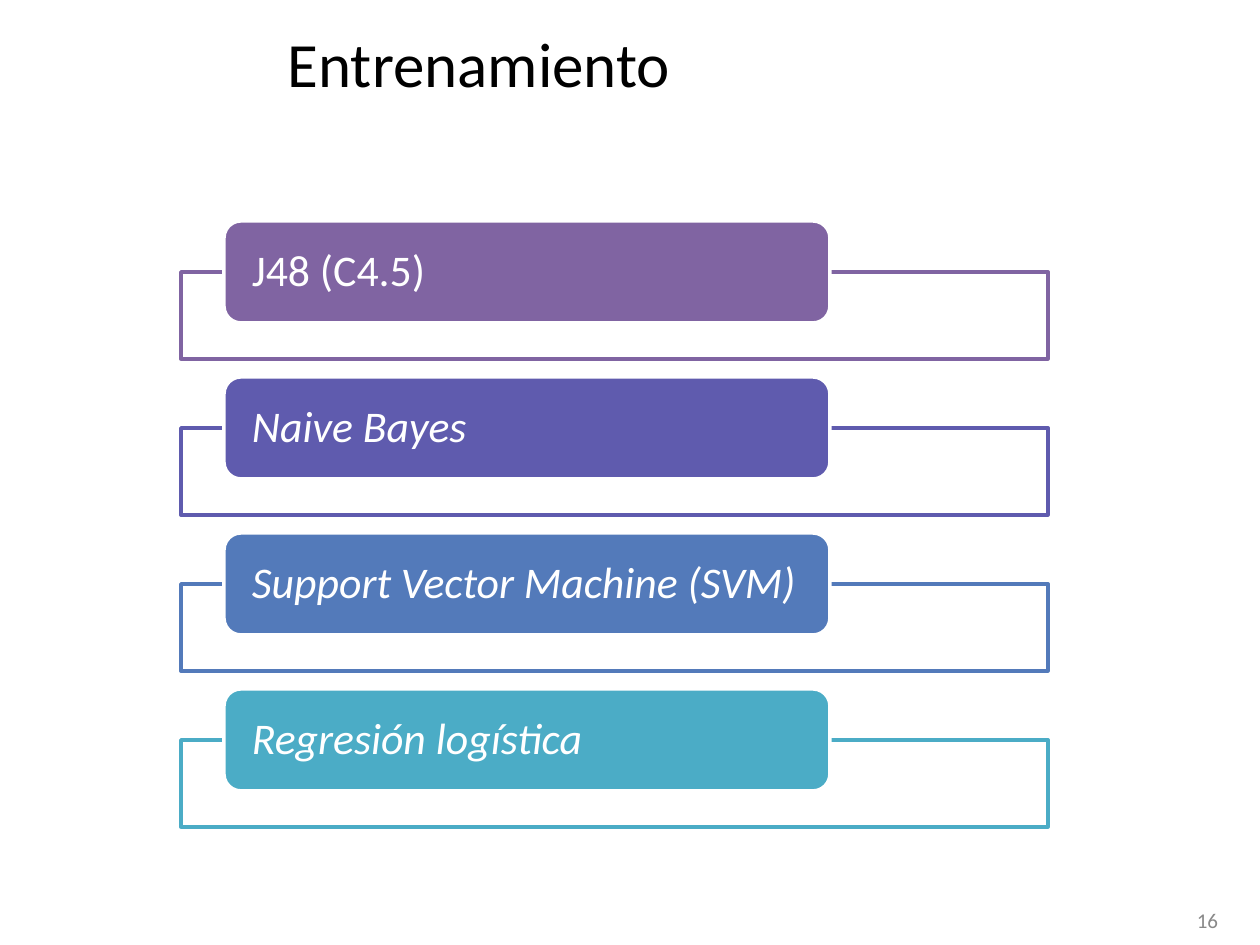
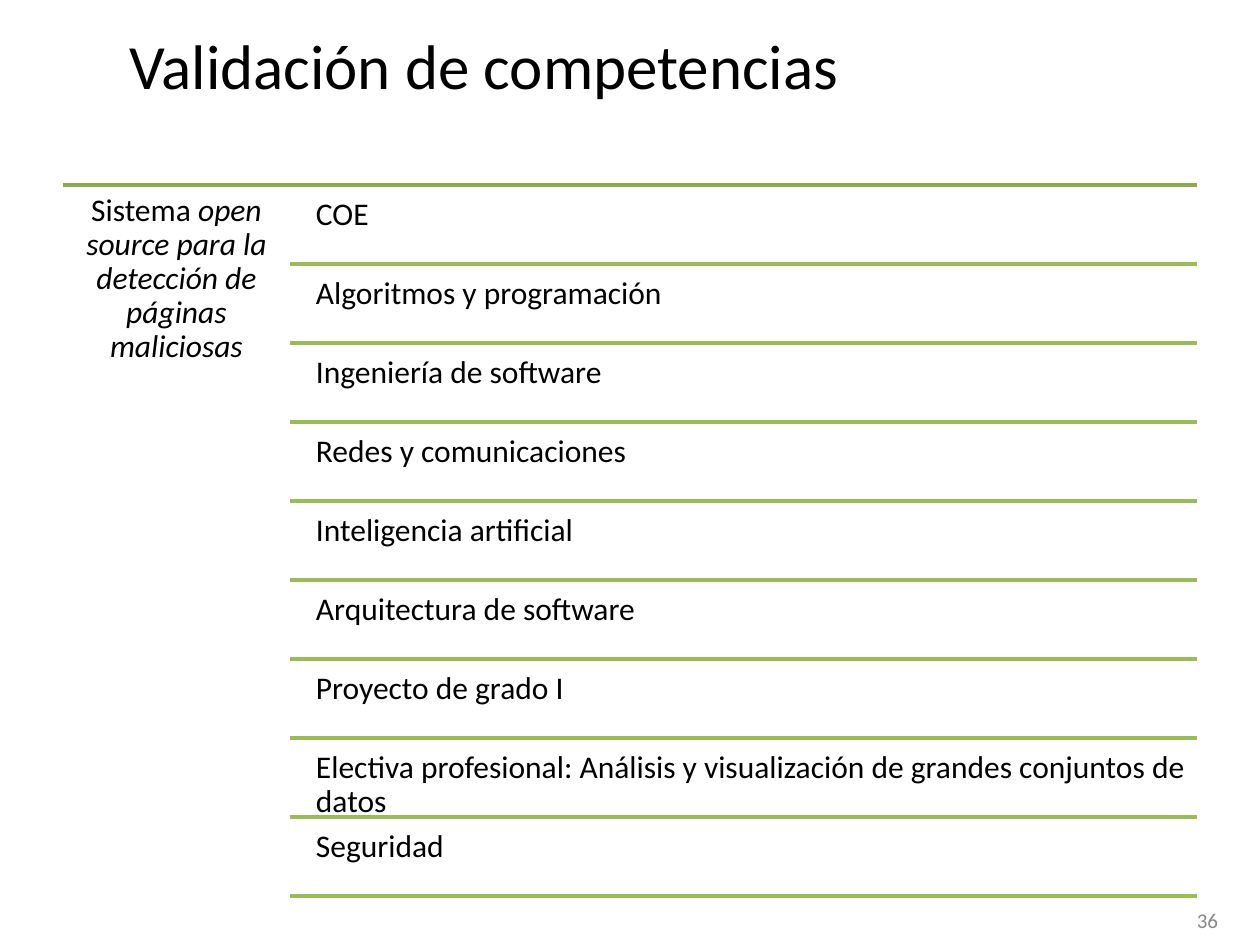
from pptx import Presentation
from pptx.dml.color import RGBColor
from pptx.enum.shapes import MSO_CONNECTOR, MSO_SHAPE
from pptx.enum.text import MSO_ANCHOR, MSO_AUTO_SIZE, PP_ALIGN
from pptx.oxml.ns import qn
from pptx.util import Pt
from lxml import etree

STRAIGHT = MSO_CONNECTOR.STRAIGHT
RECTANGLE, ROUNDED = MSO_SHAPE.RECTANGLE, MSO_SHAPE.ROUNDED_RECTANGLE
TOP, MIDDLE = MSO_ANCHOR.TOP, MSO_ANCHOR.MIDDLE
LEFT, CENTER, RIGHT = PP_ALIGN.LEFT, PP_ALIGN.CENTER, PP_ALIGN.RIGHT
NO_FIT = MSO_AUTO_SIZE.NONE

EMU_PER_PX = 914400 / 126
SLIDE_WIDTH, SLIDE_HEIGHT = 1260, 945
TITLE_ONLY = 5
FONT = "Calibri"
LINE_WIDTH = Pt(2)
COLORS = {
    "text": "000000",
    "white": "FFFFFF",
    "number": "898989",
    "top_rule": "8DAA51",
    "rule": "9BBB59",
    "purple": "8064A2",
    "indigo": "5F5BAE",
    "blue": "537ABA",
    "teal": "4BACC6",
}
ALGORITHMS = [
    ("J48 (C4.5)", "purple", False),
    ("Naive Bayes", "indigo", True),
    ("Support Vector Machine (SVM)", "blue", True),
    ("Regresión logística", "teal", True),
]
COMPETENCES = [
    "COE",
    "Algoritmos y programación",
    "Ingeniería de software",
    "Redes y comunicaciones",
    "Inteligencia artificial",
    "Arquitectura de software",
    "Proyecto de grado I",
    "Electiva profesional: Análisis y visualización de grandes conjuntos de datos",
    "Seguridad",
]


def px(*lengths):
    return [round(length * EMU_PER_PX) for length in lengths]


def rgb(color):
    return RGBColor.from_string(COLORS[color])


def write(shape, runs, size, color="text", align=LEFT, anchor=TOP,
          insets=(9, 9, 9, 9), spacing=0.9):
    frame = shape.text_frame
    left, top, right, bottom = px(*insets)
    frame_format = {
        "word_wrap": True, "auto_size": NO_FIT, "vertical_anchor": anchor,
        "margin_left": left, "margin_top": top,
        "margin_right": right, "margin_bottom": bottom,
    }
    for key, value in frame_format.items():
        setattr(frame, key, value)
    paragraph = frame.paragraphs[0]
    paragraph.alignment = align
    paragraph.line_spacing = spacing
    for text, italic in runs:
        run = paragraph.add_run()
        run.text = text
        for key, value in {"name": FONT, "size": Pt(size), "italic": italic}.items():
            setattr(run.font, key, value)
        run.font.color.rgb = rgb(color)


def add_text(slide, box, runs, size, **options):
    write(slide.shapes.add_textbox(*px(*box)), runs, size, **options)


def add_box(slide, preset, box, fill, line):
    shape = slide.shapes.add_shape(preset, *px(*box))
    shape.shadow.inherit = False
    shape.fill.solid()
    shape.fill.fore_color.rgb = rgb(fill)
    shape.line.color.rgb = rgb(line)
    shape.line.width = LINE_WIDTH
    return shape


def add_rule(slide, left, right, y, color):
    rule = slide.shapes.add_connector(STRAIGHT, *px(left, y, right, y))
    rule.line.color.rgb = rgb(color)
    rule.line.width = LINE_WIDTH
    etree.SubElement(rule.element.spPr, qn("a:effectLst"))


def add_titled_slide(deck, title, title_box, number):
    slide = deck.slides.add_slide(deck.slide_layouts[TITLE_ONLY])
    heading = slide.shapes.title
    places = zip(("left", "top", "width", "height"), px(*title_box))
    for key, value in places:
        setattr(heading, key, value)
    write(heading, [(title, False)], 36, align=CENTER, anchor=MIDDLE,
          insets=(13, 6, 13, 6), spacing=1.0)
    add_text(slide, (937, 895, 294, 50), [(number, False)], 12, color="number",
             align=RIGHT, anchor=MIDDLE, insets=(13, 6, 13, 6), spacing=1.0)
    return slide


def add_algorithm(slide, top, name, color, italic):
    add_box(slide, RECTANGLE, (181, top + 51, 867, 87), "white", color)
    label = add_box(slide, ROUNDED, (224, top, 606, 102), color, "white")
    write(label, [(name, italic)], 25, color="white", anchor=MIDDLE,
          insets=(23, 0, 23, 0))


def build_training(deck):
    slide = add_titled_slide(deck, "Entrenamiento", (0, 0, 958, 125), "16")
    for row, algorithm in enumerate(ALGORITHMS):
        add_algorithm(slide, 221 + row * 156, *algorithm)


def build_validation(deck):
    slide = add_titled_slide(deck, "Validación de competencias",
                             (0, 26, 968, 77), "36")
    table_top, row_height = 185, 79
    left, column, right = 63, 290, 1197
    add_rule(slide, left, right, table_top, "top_rule")
    project = [("Sistema ", False),
               ("open source para la detección de páginas maliciosas", True)]
    add_text(slide, (left, table_top, column - left, 713), project, 18, align=CENTER)
    for row, competence in enumerate(COMPETENCES):
        top = table_top + row * row_height
        add_text(slide, (column + 17, top + 4, 891, 75), [(competence, False)], 18)
        add_rule(slide, column, right, top + row_height, "rule")


def main():
    deck = Presentation()
    deck.slide_width, deck.slide_height = px(SLIDE_WIDTH, SLIDE_HEIGHT)
    build_training(deck)
    build_validation(deck)
    deck.save("out.pptx")


if __name__ == "__main__":
    main()
